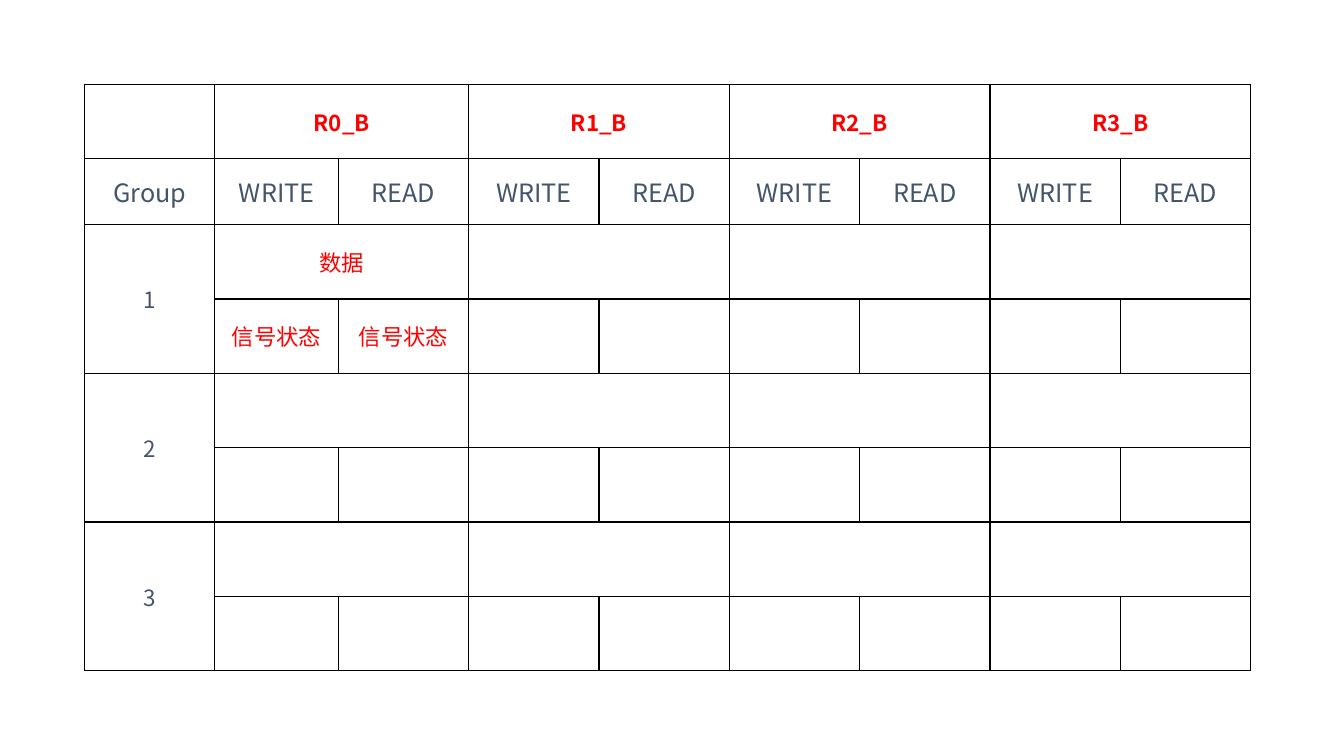
from lxml import etree
from pptx import Presentation
from pptx.dml.color import RGBColor
from pptx.enum.text import MSO_ANCHOR, PP_ALIGN
from pptx.oxml.ns import qn
from pptx.util import Pt

CENTER = PP_ALIGN.CENTER
MIDDLE = MSO_ANCHOR.MIDDLE
BLANK_LAYOUT = 6

THEME = {
    "font": "Noto Sans CJK SC",
    "accent": RGBColor(0xFF, 0x00, 0x00),
    "text": RGBColor(0x44, 0x54, 0x6A),
    "border": "000000",
    "border_width": Pt(1),
    "header_size": Pt(18),
    "body_size": Pt(16),
}
FORMATS = {
    "register": {"size": THEME["body_size"], "bold": True, "color": THEME["accent"]},
    "header": {"size": THEME["header_size"], "bold": False, "color": THEME["text"]},
    "group": {"size": THEME["body_size"], "bold": False, "color": THEME["text"]},
    "signal": {"size": THEME["body_size"], "bold": False, "color": THEME["accent"]},
}

REGISTERS = ["R0_B", "R1_B", "R2_B", "R3_B"]
GROUPS = ["1", "2", "3"]
COLUMN_WIDTHS = [93.1, 88.2] + [93.1] * 7
ROW_HEIGHTS = [53.1, 47] + [53.1] * 6


def draw_borders(cell):
    properties = cell._tc.get_or_add_tcPr()
    for side in ("a:lnL", "a:lnR", "a:lnT", "a:lnB"):
        line = etree.SubElement(properties, qn(side), w=str(THEME["border_width"]))
        fill = etree.SubElement(line, qn("a:solidFill"))
        etree.SubElement(fill, qn("a:srgbClr"), val=THEME["border"])


def write(cell, text, style):
    paragraph = cell.text_frame.paragraphs[0]
    paragraph.alignment = CENTER
    run = paragraph.add_run()
    run.text = text
    run.font.name = THEME["font"]
    for name, value in FORMATS[style].items():
        if name == "color":
            run.font.color.rgb = value
        else:
            setattr(run.font, name, value)
    etree.SubElement(run.font._element, qn("a:ea"), typeface=THEME["font"])


presentation = Presentation()
presentation.slide_width = Pt(960)
presentation.slide_height = Pt(540)
slide = presentation.slides.add_slide(presentation.slide_layouts[BLANK_LAYOUT])

# Register table grid
register_table = slide.shapes.add_table(
    len(ROW_HEIGHTS), len(COLUMN_WIDTHS), Pt(60.4), Pt(60.4),
    Pt(sum(COLUMN_WIDTHS)), Pt(sum(ROW_HEIGHTS))).table
register_table.first_row = False
register_table.horz_banding = False
for column, width in zip(register_table.columns, COLUMN_WIDTHS):
    column.width = Pt(width)
for row, height in zip(register_table.rows, ROW_HEIGHTS):
    row.height = Pt(height)
for cell in register_table.iter_cells():
    draw_borders(cell)
    cell.fill.background()
    cell.vertical_anchor = MIDDLE

# Register headings, each over a write and a read column
write(register_table.cell(1, 0), "Group", "header")
for index, register in enumerate(REGISTERS):
    left = 1 + 2 * index
    heading = register_table.cell(0, left)
    heading.merge(register_table.cell(0, left + 1))
    write(heading, register, "register")
    write(register_table.cell(1, left), "WRITE", "header")
    write(register_table.cell(1, left + 1), "READ", "header")

# Groups: a data row above a signal state row
for index, group in enumerate(GROUPS):
    top = 2 + 2 * index
    group_cell = register_table.cell(top, 0)
    group_cell.merge(register_table.cell(top + 1, 0))
    write(group_cell, group, "group")
    for left in range(1, len(COLUMN_WIDTHS), 2):
        register_table.cell(top, left).merge(register_table.cell(top, left + 1))

# Contents of the first group
write(register_table.cell(2, 1), "数据", "signal")
for column_index in (1, 2):
    write(register_table.cell(3, column_index), "信号状态", "signal")

presentation.save("out.pptx")
